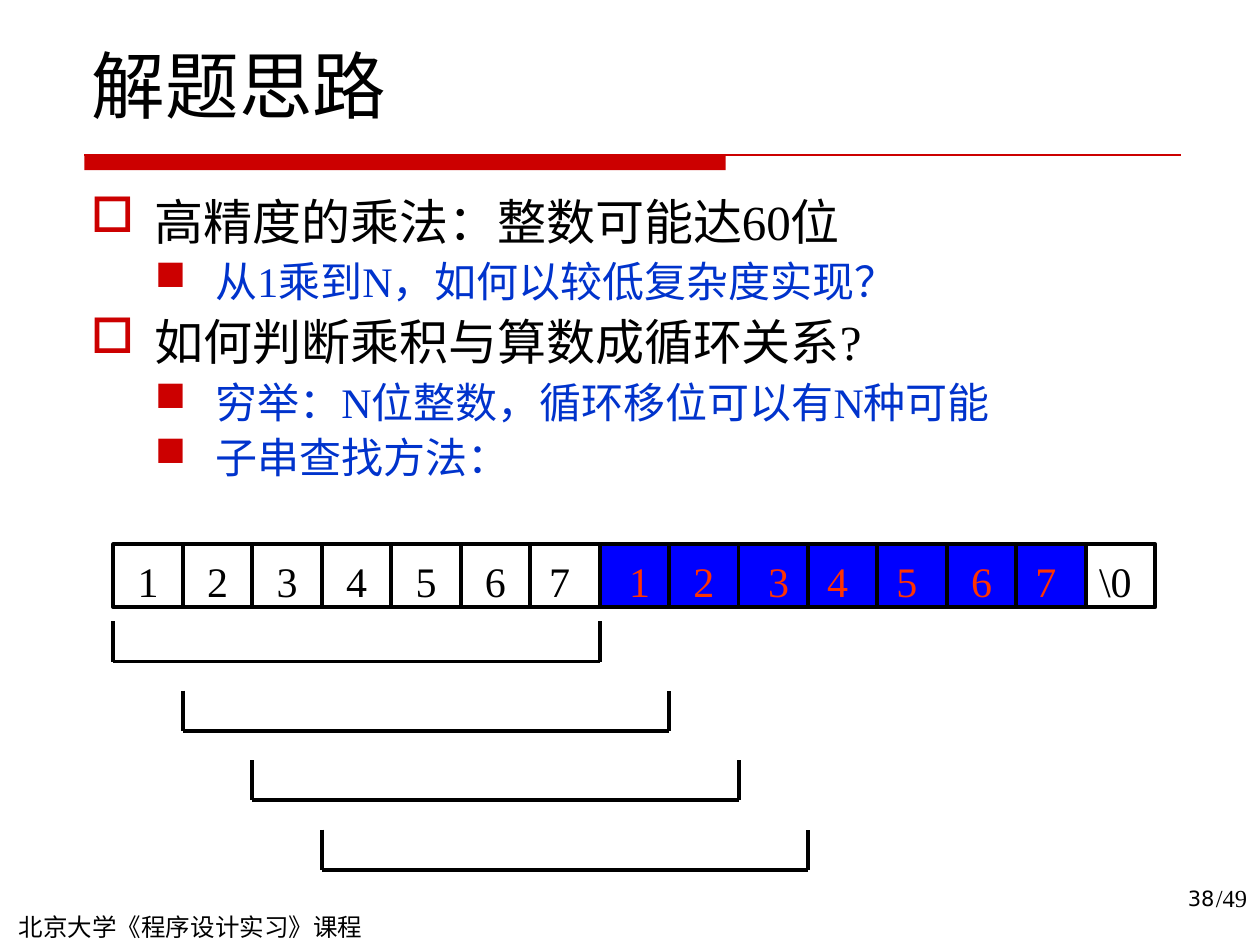
"""Build the slide on finding cyclic numbers by substring search."""
from lxml import etree
from pptx import Presentation
from pptx.dml.color import RGBColor
from pptx.enum.shapes import MSO_CONNECTOR, MSO_SHAPE
from pptx.enum.text import MSO_ANCHOR, MSO_AUTO_SIZE, PP_ALIGN
from pptx.oxml.ns import qn
from pptx.util import Inches, Pt

STRAIGHT = MSO_CONNECTOR.STRAIGHT
RECTANGLE = MSO_SHAPE.RECTANGLE
TOP, BOTTOM = MSO_ANCHOR.TOP, MSO_ANCHOR.BOTTOM
LEFT, CENTER, RIGHT = PP_ALIGN.LEFT, PP_ALIGN.CENTER, PP_ALIGN.RIGHT
NO_FIT = MSO_AUTO_SIZE.NONE

BLACK = RGBColor(0x00, 0x00, 0x00)
RED = RGBColor(0xCC, 0x00, 0x00)
TEXT_BLUE = RGBColor(0x00, 0x33, 0xCC)
CELL_BLUE = RGBColor(0x00, 0x00, 0xFF)
ORANGE = RGBColor(0xFF, 0x33, 0x00)
SERIF, SANS = "Times New Roman", "DejaVu Sans"

TITLE = "解题思路"
OUTLINE = [
    (0, "高精度的乘法：整数可能达60位"),
    (1, "从1乘到N，如何以较低复杂度实现？"),
    (0, "如何判断乘积与算数成循环关系?"),
    (1, "穷举：N位整数，循环移位可以有N种可能"),
    (1, "子串查找方法："),
]
LEVELS = [
    {"size": 28, "color": BLACK, "bullet": "□", "margin": 0.51, "hang": 0.51, "before": 3.5},
    {"size": 24, "color": TEXT_BLUE, "bullet": "■", "margin": 0.99, "hang": 0.48, "before": 3},
]
FOOTERS = [
    ("北京大学《程序设计实习》课程", (0.05, 7.19, 4.95, 0.34), (0.1, 0.05, 0.1, 0.05), LEFT, 14, SERIF),
    ("/49", (9.65, 6.96, 0.31, 0.34), (0, 0.05, 0, 0.05), LEFT, 14, SERIF),
    ("38", (7.86, 6.98, 1.78, 0.52), (0.1, 0.05, 0, 0.05), RIGHT, 12, SANS),
]
FIRST_COPY = ["1", "2", "3", "4", "5", "6", "7 "]
SECOND_COPY = [" 1", "2", " 3", "4 ", "5 ", "6", "7 "]
CELLS = (
    [(digit, False) for digit in FIRST_COPY]
    + [(digit, True) for digit in SECOND_COPY]
    + [("\\0 ", False)]
)

ROW_LEFT, ROW_TOP, ROW_WIDTH, ROW_HEIGHT = 0.9, 4.32, 8.27, 0.5
PITCH = ROW_WIDTH / len(CELLS)
BRACKET_COUNT, BRACKET_TOP, BRACKET_HEIGHT = 4, 4.93, 0.32


def add_span(para, text, size, color, font=SERIF):
    span = para.add_run()
    span.text = text
    span.font.size = Pt(size)
    span.font.name = font
    span.font.color.rgb = color


def set_frame(frame, insets, anchor=TOP, wrap=True):
    frame.auto_size = NO_FIT
    frame.word_wrap = wrap
    frame.vertical_anchor = anchor
    frame.margin_left, frame.margin_top, frame.margin_right, frame.margin_bottom = map(Inches, insets)


def set_bullet(para, level):
    properties = para._p.get_or_add_pPr()
    properties.set("marL", str(Inches(level["margin"])))
    properties.set("indent", str(-Inches(level["hang"])))
    color = etree.SubElement(properties, qn("a:buClr"))
    etree.SubElement(color, qn("a:srgbClr")).set("val", str(RED))
    etree.SubElement(properties, qn("a:buChar")).set("char", level["bullet"])


def add_line(page, start, end, color, width):
    line = page.shapes.add_connector(STRAIGHT, *map(Inches, start + end))
    line.line.color.rgb = color
    line.line.width = Pt(width)
    etree.SubElement(line._element.spPr, qn("a:effectLst"))


def add_title(page):
    title = page.shapes.title
    title.left, title.top, title.width, title.height = map(Inches, (0.63, 0.33, 8.75, 0.74))
    set_frame(title.text_frame, (0.1, 0.05, 0.1, 0.05), BOTTOM)
    para = title.text_frame.paragraphs[0]
    para.alignment = LEFT
    add_span(para, TITLE, 42, BLACK)


def add_rule(page):
    bar = page.shapes.add_shape(RECTANGLE, *map(Inches, (0.67, 1.23, 5.09, 0.12)))
    bar.shadow.inherit = False
    bar.fill.solid()
    bar.fill.fore_color.rgb = RED
    bar.line.fill.background()
    add_line(page, (0.67, 1.23), (9.37, 1.23), RED, 0.75)


def add_outline(page):
    box = page.shapes.add_textbox(*map(Inches, (0.62, 1.47, 8.75, 2.6)))
    frame = box.text_frame
    set_frame(frame, (0.1, 0.05, 0.1, 0.05))
    for index, (depth, text) in enumerate(OUTLINE):
        para = frame.add_paragraph() if index else frame.paragraphs[0]
        level = LEVELS[depth]
        para.level = depth
        para.space_before = Pt(level["before"])
        set_bullet(para, level)
        add_span(para, text, level["size"], level["color"])


def add_footers(page):
    for text, place, insets, alignment, size, font in FOOTERS:
        box = page.shapes.add_textbox(*map(Inches, place))
        set_frame(box.text_frame, insets, wrap=alignment == RIGHT)
        para = box.text_frame.paragraphs[0]
        para.alignment = alignment
        add_span(para, text, size, BLACK, font)


def add_cells(page):
    for index, (text, repeated) in enumerate(CELLS):
        place = (ROW_LEFT + index * PITCH, ROW_TOP, PITCH, ROW_HEIGHT)
        cell = page.shapes.add_shape(RECTANGLE, *map(Inches, place))
        cell.shadow.inherit = False
        cell.line.color.rgb = BLACK
        cell.line.width = Pt(2.25)
        if repeated:
            cell.fill.solid()
            cell.fill.fore_color.rgb = CELL_BLUE
        else:
            cell.fill.background()
        set_frame(cell.text_frame, (0.02, 0.09, 0.02, 0.02))
        para = cell.text_frame.paragraphs[0]
        para.alignment = CENTER
        add_span(para, text, 24, ORANGE if repeated else BLACK)


def add_brackets(page):
    for index in range(BRACKET_COUNT):
        left = ROW_LEFT + index * PITCH
        right = left + len(FIRST_COPY) * PITCH
        top = BRACKET_TOP + index * PITCH
        bottom = top + BRACKET_HEIGHT
        corners = [(left, top), (left, bottom), (right, bottom), (right, top)]
        for start, end in zip(corners, corners[1:]):
            add_line(page, start, end, BLACK, 2.25)


def main():
    deck = Presentation()
    deck.slide_width, deck.slide_height = Inches(10), Inches(7.5)
    page = deck.slides.add_slide(deck.slide_layouts.get_by_name("Title Only"))
    add_rule(page)
    add_footers(page)
    add_title(page)
    add_outline(page)
    add_cells(page)
    add_brackets(page)
    deck.save("out.pptx")


if __name__ == "__main__":
    main()
